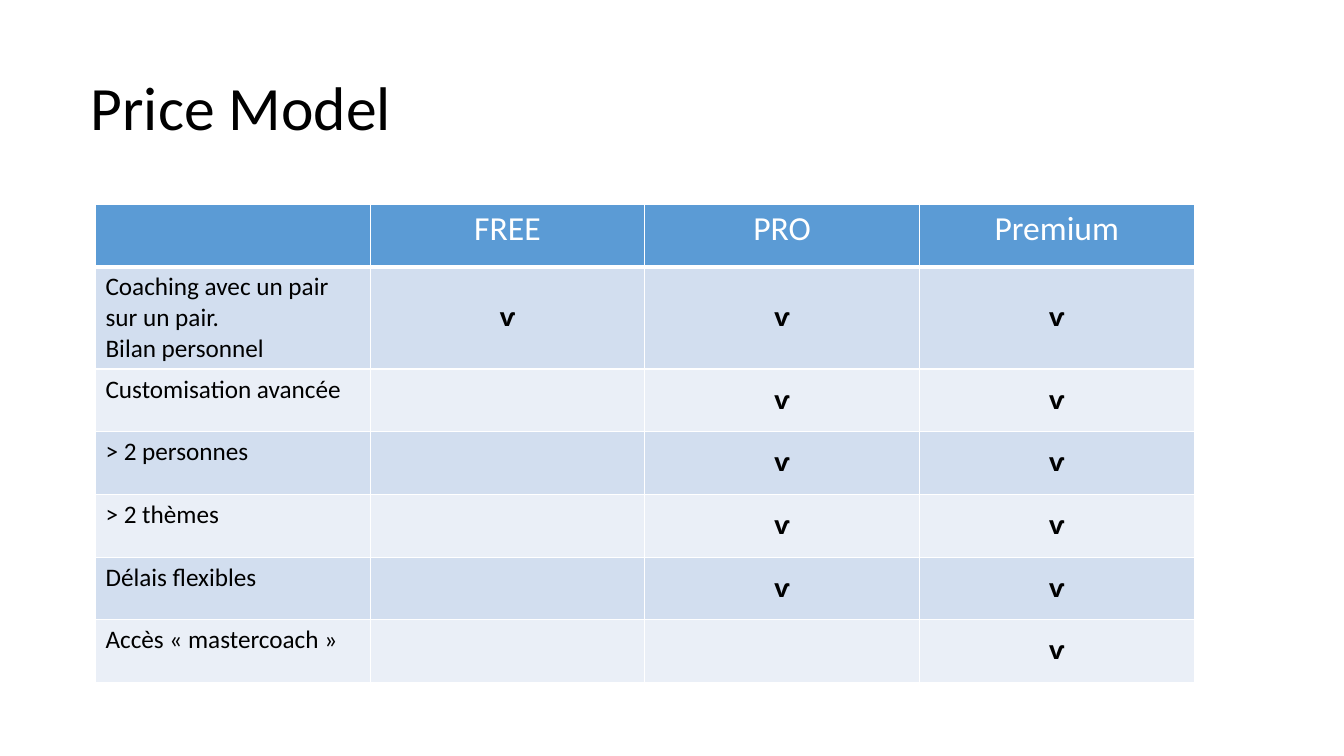
from lxml.etree import SubElement as Sub
from pptx import Presentation
from pptx.dml.color import RGBColor as RGB
from pptx.enum.text import MSO_ANCHOR as Anchor, PP_ALIGN as Align
from pptx.oxml.ns import qn
from pptx.util import Pt

TITLE = "Price Model"
PLANS = ["", "FREE", "PRO", "Premium"]
MARK = "ⱱ"
# Each feature with the plans that include it
FEATURES = [
    ("Coaching avec un pair sur un pair.\nBilan personnel", PLANS[1:]),
    ("Customisation avancée", PLANS[2:]),
    ("> 2 personnes", PLANS[2:]),
    ("> 2 thèmes", PLANS[2:]),
    ("Délais flexibles", PLANS[2:]),
    ("Accès « mastercoach »", PLANS[3:]),
]

THEME = {
    "font": "Calibri",
    "text": "000000",
    "light": "FFFFFF",
    "head": "5B9BD5",
    "bands": ["D2DEEF", "EAEFF7"],
    "title": 44,
    "plan": 24,
    "body": 18,
    "line": 1,
    "rule": 3,
}
SLIDE = (960, 540)
HEAD_BOX = {"left": 57.6, "top": 26.6, "width": 828, "height": 104.4}
GRID = {"left": 68.2, "top": 145.7, "col": 196.2, "row": 44.8}


def style(frame, size, color, align=Align.LEFT, bold=False):
    for para in frame.paragraphs:
        para.alignment = align
        para.font.color.rgb = RGB.from_string(color)
        form = {"name": THEME["font"], "size": Pt(size), "bold": bold}
        for key, value in form.items():
            setattr(para.font, key, value)


def edge(cell, base):
    """Draw the four borders of a cell, the lower one with width base."""
    props = cell._tc.get_or_add_tcPr()
    thin = THEME["line"]
    for side, width in {"L": thin, "R": thin, "T": thin, "B": base}.items():
        line = Sub(props, qn(f"a:ln{side}"), w=str(Pt(width)))
        fill = Sub(line, qn("a:solidFill"))
        Sub(fill, qn("a:srgbClr"), val=THEME["light"])


def paint(cell, color, base=THEME["line"]):
    edge(cell, base)
    cell.fill.solid()
    cell.fill.fore_color.rgb = RGB.from_string(color)


def add_title(slide):
    title = slide.shapes.title
    for key, value in HEAD_BOX.items():
        setattr(title, key, Pt(value))
    frame = title.text_frame
    frame.text = TITLE
    frame.vertical_anchor = Anchor.MIDDLE
    frame.paragraphs[0].line_spacing = 0.9
    style(frame, THEME["title"], THEME["text"])


def add_grid(slide):
    rows, cols = len(FEATURES) + 1, len(PLANS)
    size = (cols * GRID["col"], rows * GRID["row"])
    box = [Pt(n) for n in (GRID["left"], GRID["top"], *size)]
    table = slide.shapes.add_table(rows, cols, *box).table

    for col, plan in enumerate(PLANS):
        cell = table.cell(0, col)
        cell.text = plan
        paint(cell, THEME["head"], THEME["rule"])
        style(cell.text_frame, THEME["plan"], THEME["light"], Align.CENTER)

    for row, (name, owners) in enumerate(FEATURES, 1):
        band = THEME["bands"][(row - 1) % 2]
        for col, plan in enumerate(PLANS):
            cell = table.cell(row, col)
            paint(cell, band)
            if col == 0:
                cell.text = name
                style(cell.text_frame, THEME["body"], THEME["text"])
            elif plan in owners:
                cell.text = MARK
                cell.vertical_anchor = Anchor.MIDDLE
                style(cell.text_frame, THEME["body"], THEME["text"],
                      Align.CENTER, True)


def main():
    deck = Presentation()
    deck.slide_width, deck.slide_height = map(Pt, SLIDE)
    slide = deck.slides.add_slide(deck.slide_layouts[5])
    add_title(slide)
    add_grid(slide)
    deck.save("out.pptx")


if __name__ == "__main__":
    main()
